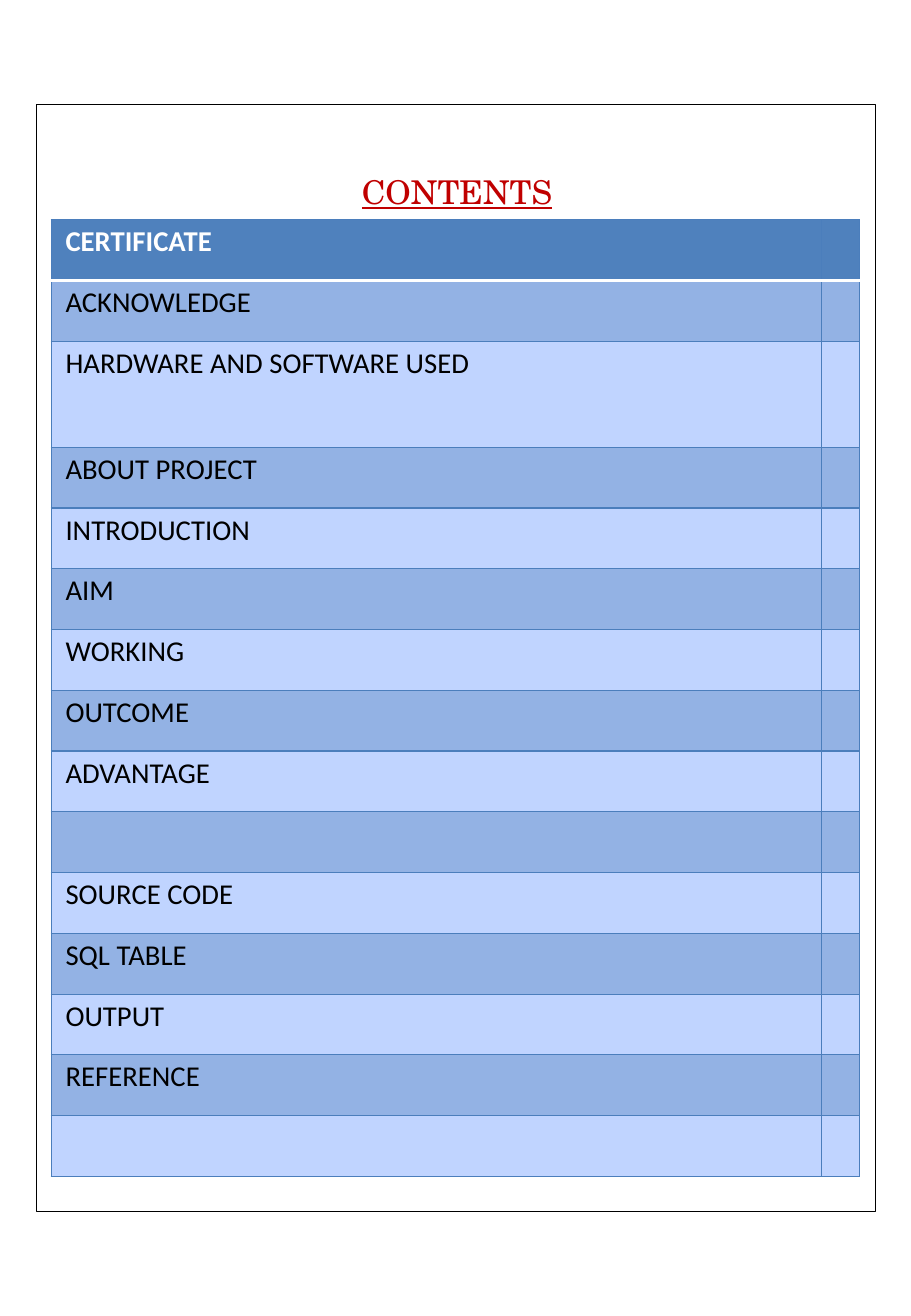
import pptx
import pptx.util
import pptx.dml.color
import pptx.enum.shapes
import pptx.oxml
import pptx.oxml.ns
from pptx.util import Cm

TOPICS = [
    "CERTIFICATE", "ACKNOWLEDGE", "HARDWARE AND SOFTWARE USED",
    "ABOUT PROJECT", "INTRODUCTION", "AIM", "WORKING", "OUTCOME",
    "ADVANTAGE", "", "SOURCE CODE", "SQL TABLE", "OUTPUT", "REFERENCE", "",
]
TALL_ROW = 2
HEADER_FILL, DARK_BAND, LIGHT_BAND = "4F81BD", "93B2E4", "C0D4FF"
GRID = ("4B7EBC", 0.75)
HEADER_RULE = ("FFFFFF", 2)

HEADING_FORMAT = {"name": "TeX Gyre Schola", "size": pptx.util.Pt(19.4),
                  "underline": True}
TOPIC_FORMAT = {"name": "Calibri", "size": pptx.util.Pt(17)}
CELL_MARGINS = {"margin_left": Cm(0.3), "margin_right": Cm(0.3),
                "margin_top": Cm(0.1), "margin_bottom": Cm(0.1)}
HEADING_MARGINS = {"margin_left": Cm(0.03), "margin_right": 0,
                   "margin_top": Cm(0.03), "margin_bottom": 0}


def color(hex_value):
    return pptx.dml.color.RGBColor.from_string(hex_value)


def apply_format(target, values):
    for name, value in values.items():
        setattr(target, name, value)


def add_run(paragraph, text, font_format, hex_value):
    run = paragraph.add_run()
    run.text = text
    apply_format(run.font, font_format)
    run.font.color.rgb = color(hex_value)


def add_page_frame(slide):
    frame = slide.shapes.add_shape(
        pptx.enum.shapes.MSO_SHAPE.RECTANGLE,
        Cm(0.76), Cm(2.19), Cm(17.54), Cm(23.14))
    frame.shadow.inherit = False
    frame.fill.background()
    frame.line.color.rgb = color("000000")
    frame.line.width = pptx.util.Pt(0.5)


def add_heading(slide):
    heading = slide.shapes.add_textbox(Cm(7.54), Cm(3.56), Cm(4.4), Cm(0.86))
    text_frame = heading.text_frame
    apply_format(text_frame, {"word_wrap": True, **HEADING_MARGINS})
    paragraph = text_frame.paragraphs[0]
    paragraph.space_before = pptx.util.Pt(0.9)
    add_run(paragraph, "CONTENTS", HEADING_FORMAT, "C00000")


def set_borders(cell, borders):
    """Draw (colour, points) borders; call before filling the cell."""
    properties = cell._tc.get_or_add_tcPr()
    for side, (hex_value, points) in borders.items():
        properties.append(pptx.oxml.parse_xml(
            f'<a:ln{side} {pptx.oxml.ns.nsdecls("a")} w="{pptx.util.Pt(points)}">'
            f'<a:solidFill><a:srgbClr val="{hex_value}"/></a:solidFill>'
            f'</a:ln{side}>'))


def style_cell(cell, row_number):
    borders = dict.fromkeys("LRTB", GRID)
    if row_number == 0:
        fill = HEADER_FILL
        borders["B"] = HEADER_RULE
    else:
        fill = DARK_BAND if row_number % 2 else LIGHT_BAND
        if row_number == 1:
            borders["T"] = HEADER_RULE
    set_borders(cell, borders)
    cell.fill.solid()
    cell.fill.fore_color.rgb = color(fill)


def add_contents_table(slide):
    contents = slide.shapes.add_table(
        len(TOPICS), 2, Cm(1.07), Cm(4.59), Cm(16.9), Cm(20)).table
    for column, width in zip(contents.columns, (16.1, 0.8)):
        column.width = Cm(width)
    for number, topic in enumerate(TOPICS):
        contents.rows[number].height = Cm(2.22 if number == TALL_ROW else 1.27)
        for column_number in range(2):
            style_cell(contents.cell(number, column_number), number)
        if topic:
            topic_cell = contents.cell(number, 0)
            apply_format(topic_cell, CELL_MARGINS)
            is_header = number == 0
            add_run(topic_cell.text_frame.paragraphs[0], topic,
                    {**TOPIC_FORMAT, "bold": is_header},
                    "FFFFFF" if is_header else "000000")


def main():
    presentation = pptx.Presentation()
    presentation.slide_width = Cm(19.05)
    presentation.slide_height = Cm(27.51)
    slide = presentation.slides.add_slide(presentation.slide_layouts[6])
    add_heading(slide)
    add_page_frame(slide)
    add_contents_table(slide)
    presentation.save("out.pptx")


if __name__ == "__main__":
    main()
